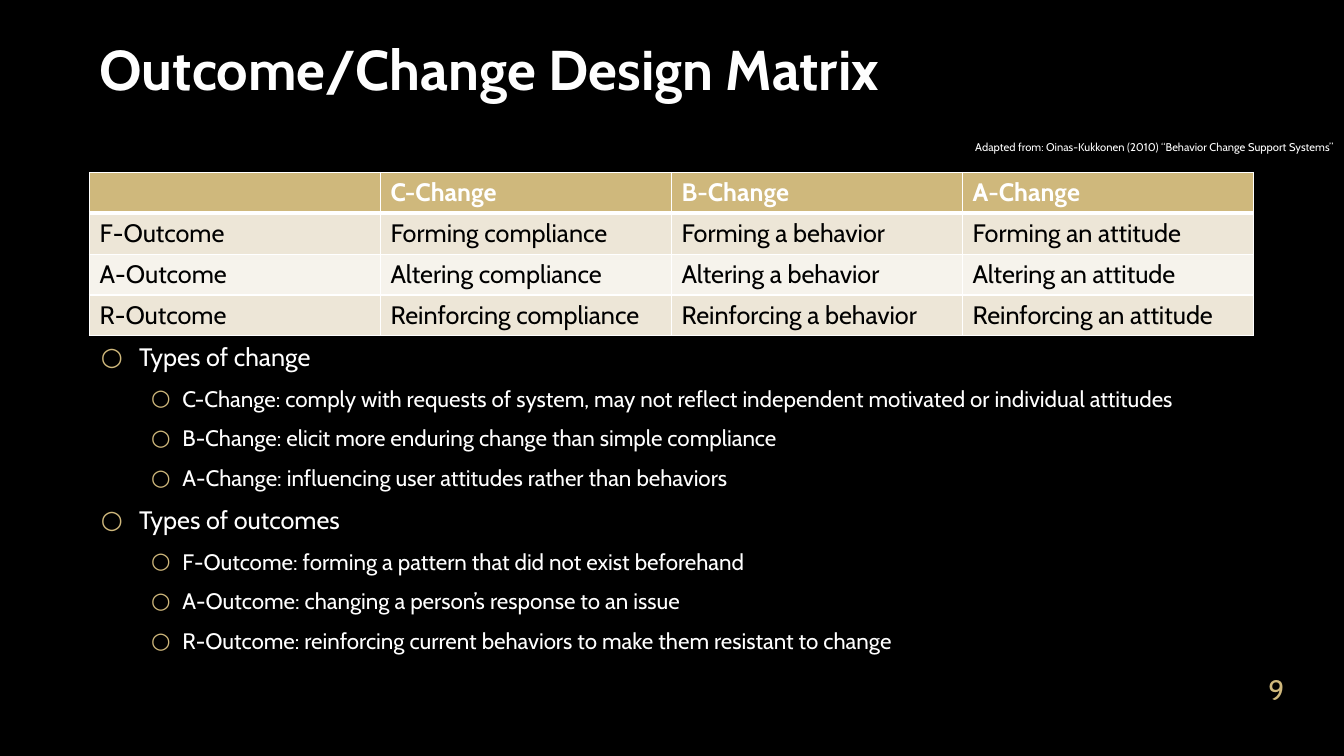
from lxml import etree
from pptx import Presentation
from pptx import util as u
from pptx.dml.color import RGBColor
from pptx.enum import text as t
from pptx.oxml import ns

WIDTH, HEIGHT = u.Inches(13.33), u.Inches(7.5)
BLACK = RGBColor(0x00, 0x00, 0x00)
WHITE = RGBColor(0xFF, 0xFF, 0xFF)
SOFT_WHITE = RGBColor(0xFE, 0xFE, 0xFE)
GOLD = RGBColor(0xCF, 0xB8, 0x7C)
SAND = RGBColor(0xED, 0xE6, 0xD7)
CREAM = RGBColor(0xF6, 0xF3, 0xEC)
FONT = "Cabin"

MATRIX = [
    ["", "C-Change", "B-Change", "A-Change"],
    ["F-Outcome", "Forming compliance", "Forming a behavior", "Forming an attitude"],
    ["A-Outcome", "Altering compliance", "Altering a behavior", "Altering an attitude"],
    ["R-Outcome", "Reinforcing compliance", "Reinforcing a behavior", "Reinforcing an attitude"],
]
DEFINITIONS = [
    (0, "Types of change"),
    (1, "C-Change: comply with requests of system, may not reflect independent motivated or individual attitudes"),
    (1, "B-Change: elicit more enduring change than simple compliance"),
    (1, "A-Change: influencing user attitudes rather than behaviors"),
    (0, "Types of outcomes"),
    (1, "F-Outcome: forming a pattern that did not exist beforehand"),
    (1, "A-Outcome: changing a person’s response to an issue"),
    (1, "R-Outcome: reinforcing current behaviors to make them resistant to change"),
]
LEVELS = [(18, 0.38, 0.38), (16, 0.81, 0.31)]


def share(left, top, width, height):
    return [u.Emu(round(part * whole)) for part, whole in
            zip((left, top, width, height), (WIDTH, HEIGHT) * 2)]


def place(part, area):
    part.left, part.top, part.width, part.height = area


def write(paragraph, words, size=18, color=WHITE, bold=False, align=t.PP_ALIGN.LEFT):
    paragraph.alignment = align
    run = paragraph.add_run()
    run.text = words
    run.font.name = FONT
    run.font.size = u.Pt(size)
    run.font.bold = bold
    run.font.color.rgb = color


def add_element(parent, tag, **attributes):
    return etree.SubElement(parent, ns.qn(tag), attributes)


def add_bullet(paragraph, indent, hanging):
    properties = paragraph._p.get_or_add_pPr()
    properties.set("marL", str(u.Inches(indent)))
    properties.set("indent", str(-u.Inches(hanging)))
    add_element(add_element(properties, "a:buClr"), "a:srgbClr", val=str(GOLD))
    add_element(properties, "a:buFont", typeface=FONT)
    add_element(properties, "a:buChar", char="○")


def add_borders(cell, bottom):
    properties = cell._tc.get_or_add_tcPr()
    for side, points in (("L", 1), ("R", 1), ("T", 1), ("B", bottom)):
        line = add_element(properties, f"a:ln{side}", w=str(u.Pt(points)))
        add_element(add_element(line, "a:solidFill"), "a:srgbClr", val=str(WHITE))


def fill_title(title):
    place(title, share(1 / 15, 0, 0.867, 0.141))
    title.text_frame.vertical_anchor = t.MSO_ANCHOR.BOTTOM
    title.text_frame.auto_size = t.MSO_AUTO_SIZE.NONE
    write(title.text_frame.paragraphs[0], "Outcome/Change Design Matrix",
          size=40, color=SOFT_WHITE, bold=True)


def fill_definitions(body):
    place(body, share(0.0675, 0.444, 0.866, 0.429))
    frame = body.text_frame
    frame.vertical_anchor = t.MSO_ANCHOR.MIDDLE
    frame.auto_size = t.MSO_AUTO_SIZE.NONE
    for index, (level, words) in enumerate(DEFINITIONS):
        size, indent, hanging = LEVELS[level]
        paragraph = frame.add_paragraph() if index else frame.paragraphs[0]
        paragraph.level = level
        paragraph.space_before = u.Pt(size * 0.2 if index else 0)
        paragraph.space_after = u.Pt(6)
        add_bullet(paragraph, indent, hanging)
        write(paragraph, words, size=size)


def add_matrix(slide):
    area = share(1 / 15, 0.228, 0.866, 0.216)
    matrix = slide.shapes.add_table(len(MATRIX), len(MATRIX[0]), *area).table
    for row, labels in enumerate(MATRIX):
        header = row == 0
        for column, label in enumerate(labels):
            cell = matrix.cell(row, column)
            add_borders(cell, 3 if header else 1)
            cell.fill.solid()
            cell.fill.fore_color.rgb = GOLD if header else (CREAM, SAND)[row % 2]
            if label:
                write(cell.text_frame.paragraphs[0], label,
                      color=WHITE if header else BLACK, bold=header)


def add_label(slide, words, area, anchor=t.MSO_ANCHOR.TOP, **style):
    frame = slide.shapes.add_textbox(*area).text_frame
    frame.word_wrap = True
    frame.vertical_anchor = anchor
    write(frame.paragraphs[0], words, align=t.PP_ALIGN.RIGHT, **style)
    return frame


def main():
    deck = Presentation()
    deck.slide_width, deck.slide_height = WIDTH, HEIGHT
    slide = deck.slides.add_slide(deck.slide_layouts[1])
    slide.background.fill.solid()
    slide.background.fill.fore_color.rgb = BLACK

    fill_title(slide.shapes.title)
    add_matrix(slide)
    number = add_label(slide, "9", share(0.876, 0.863, 0.087, 0.072),
                       anchor=t.MSO_ANCHOR.BOTTOM, size=20, color=GOLD)
    number.margin_bottom = u.Inches(0.01)
    add_label(slide, "Adapted from: Oinas-Kukkonen (2010) “Behavior Change Support Systems”",
              share(0.657, 0.179, 0.343, 0.032), size=8)
    fill_definitions(slide.placeholders[1])
    deck.save("out.pptx")


if __name__ == "__main__":
    main()
